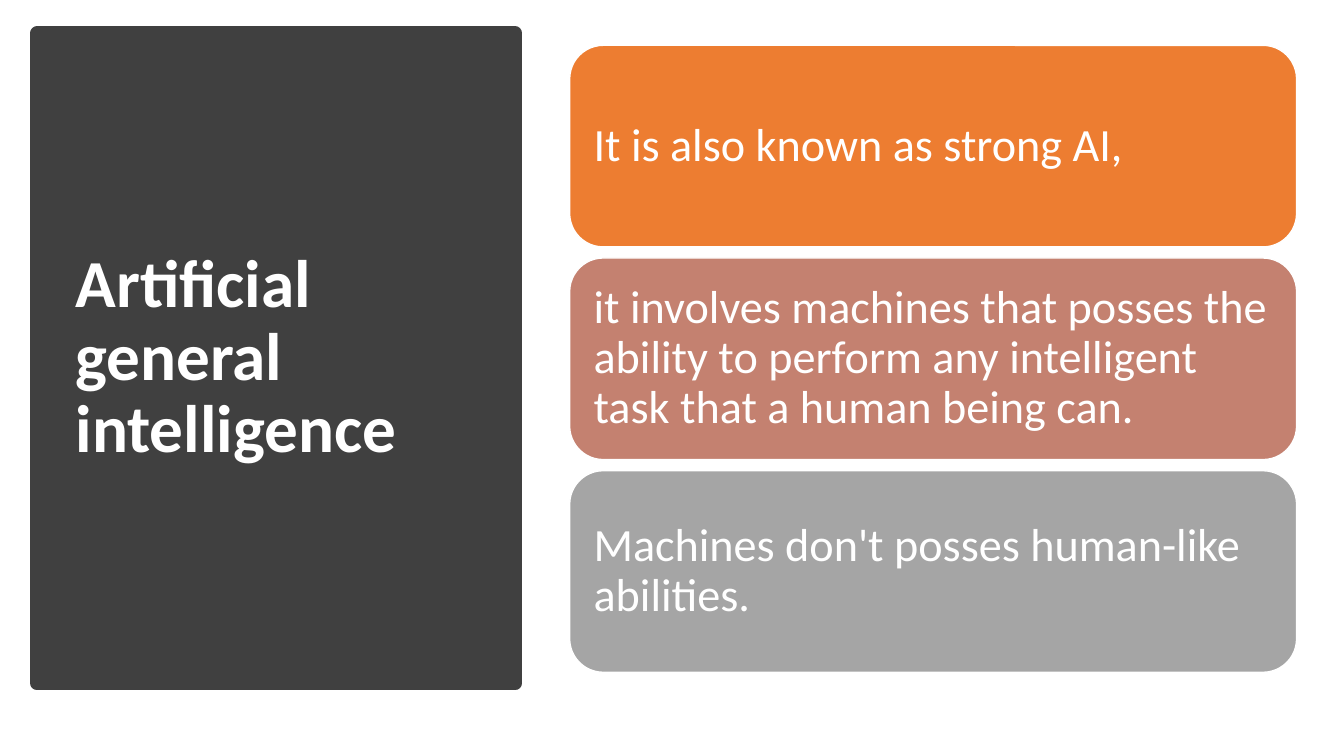
from pptx import Presentation
from pptx.dml.color import RGBColor
from pptx.enum.shapes import MSO_SHAPE
from pptx.enum.text import MSO_ANCHOR, PP_ALIGN
from pptx.util import Inches, Pt

WHITE = RGBColor(0xFF, 0xFF, 0xFF)
CHARCOAL = RGBColor(0x40, 0x40, 0x40)
ORANGE = RGBColor(0xED, 0x7D, 0x31)
ROSE = RGBColor(0xC4, 0x81, 0x70)
GRAY = RGBColor(0xA5, 0xA5, 0xA5)

prs = Presentation()
prs.slide_width, prs.slide_height = Inches(13.33), Inches(7.5)
s = prs.slides.add_slide(prs.slide_layouts[6])


def add_panel(kind, left, top, width, height, fill, line, line_width, text, size, inset):
    """Add a filled shape with left-aligned, vertically centred text."""
    sp = s.shapes.add_shape(kind, Inches(left), Inches(top), Inches(width), Inches(height))
    sp.shadow.inherit = False
    sp.fill.solid()
    sp.fill.fore_color.rgb = fill
    sp.line.color.rgb = line
    sp.line.width = Pt(line_width)
    tf = sp.text_frame
    tf.word_wrap = True
    tf.vertical_anchor = MSO_ANCHOR.MIDDLE
    tf.margin_left = tf.margin_right = Inches(inset)
    tf.text = text
    p = tf.paragraphs[0]
    p.alignment = PP_ALIGN.LEFT
    p.line_spacing = 0.9
    r = p.runs[0]
    r.font.name = "Calibri"
    r.font.size = Pt(size)
    r.font.color.rgb = WHITE
    return r


# Title panel
title = add_panel(MSO_SHAPE.RECTANGLE, 0.37, 0.33, 4.74, 6.45, CHARCOAL, CHARCOAL, 10,
                  "Artificial general intelligence", 48, 0.38)
title.font.bold = True

# Stacked cards: three rows at an equal pitch
CARD_LEFT, CARD_TOP, CARD_WIDTH, CARD_HEIGHT, GAP = 5.65, 0.45, 7.21, 2, 0.11
cards = [
    (ORANGE, "It is also known as strong AI,"),
    (ROSE, "it involves machines that posses the ability to perform any "
           "intelligent task that a human being can."),
    (GRAY, "Machines don't posses human-like abilities."),
]
for row, (color, text) in enumerate(cards):
    add_panel(MSO_SHAPE.ROUNDED_RECTANGLE, CARD_LEFT, CARD_TOP + row * (CARD_HEIGHT + GAP),
              CARD_WIDTH, CARD_HEIGHT, color, WHITE, 1, text, 33, 0.14)

prs.save("out.pptx")
